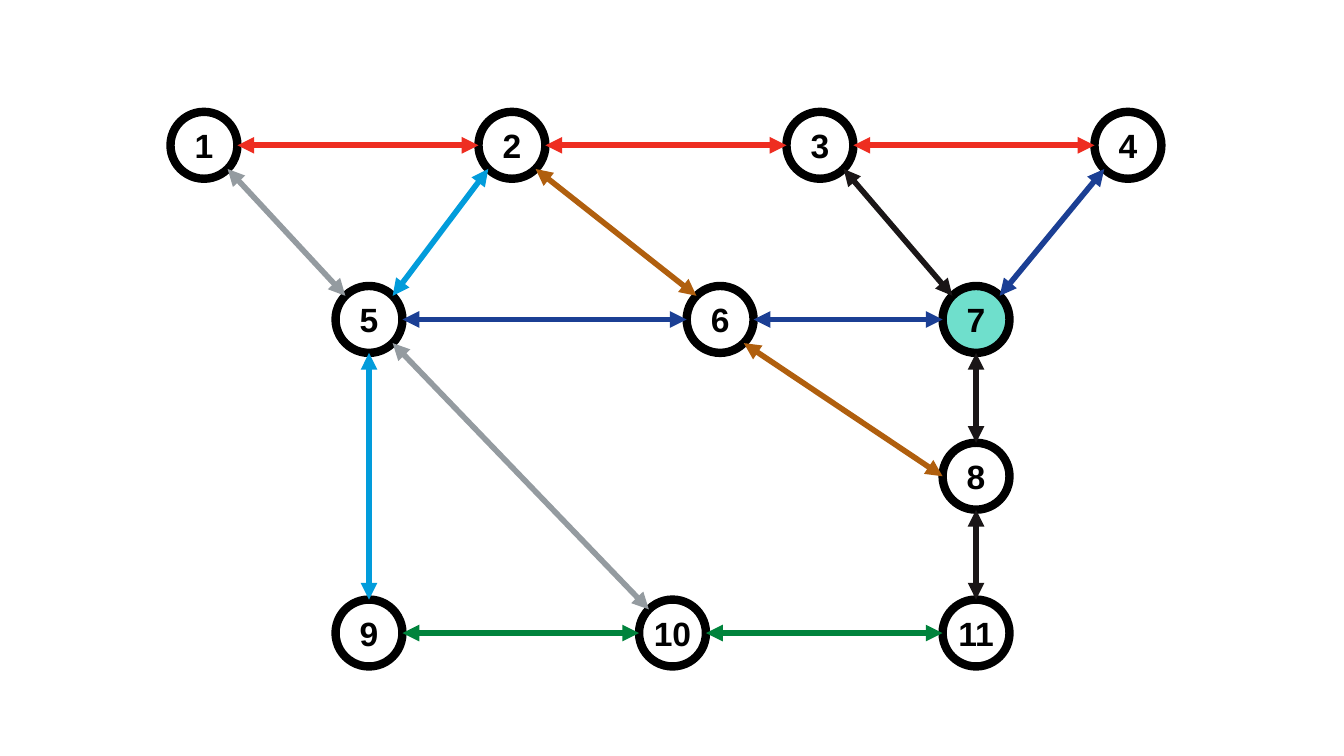
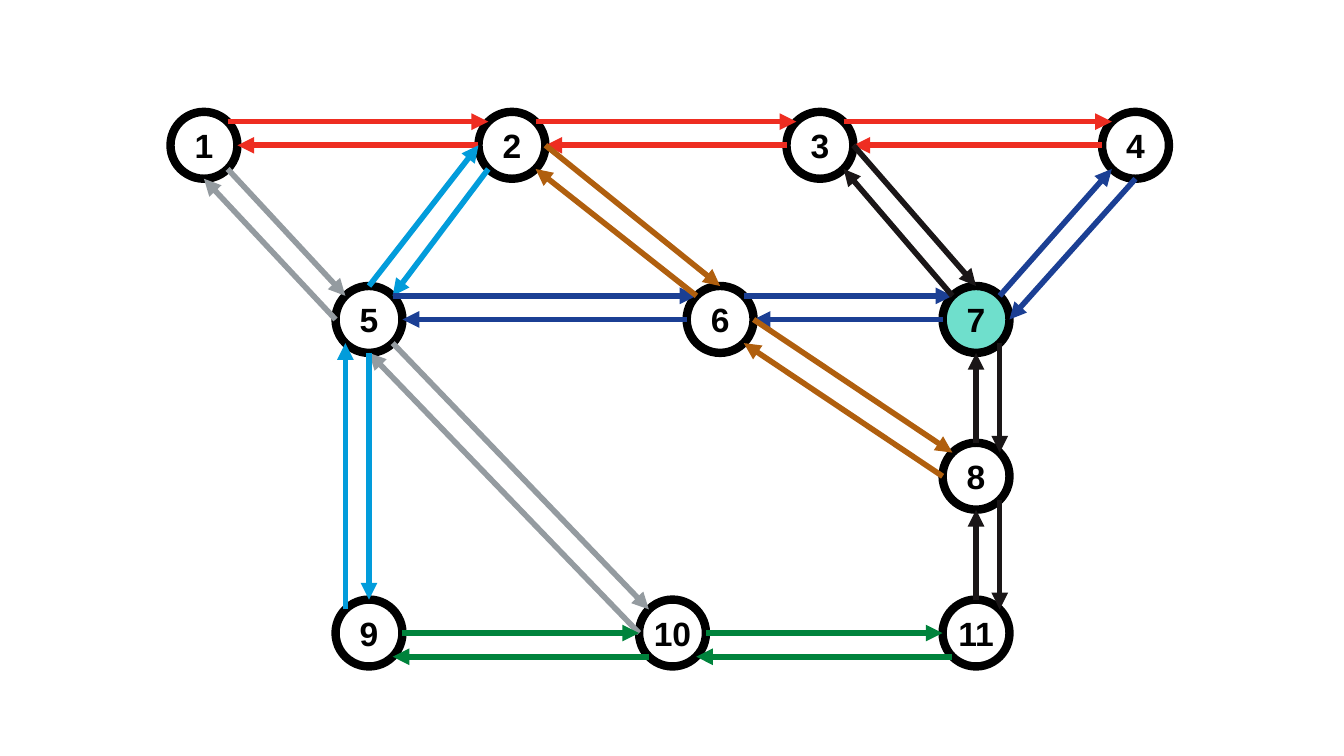
from math import sqrt

from lxml.etree import SubElement
from pptx import Presentation
from pptx.dml.color import RGBColor
from pptx.enum.shapes import MSO_CONNECTOR, MSO_SHAPE
from pptx.enum.text import MSO_ANCHOR, PP_ALIGN
from pptx.oxml.ns import qn
from pptx.util import Pt

OVAL = MSO_SHAPE.OVAL
STRAIGHT = MSO_CONNECTOR.STRAIGHT
MIDDLE = MSO_ANCHOR.MIDDLE
CENTER = PP_ALIGN.CENTER

WHITE = RGBColor(0xFF, 0xFF, 0xFF)
INK = RGBColor(0x00, 0x00, 0x00)
MINT = RGBColor(0x6F, 0xDF, 0xCC)
RED = RGBColor(0xEE, 0x2D, 0x21)
GREY = RGBColor(0x94, 0x9B, 0xA0)
SKY = RGBColor(0x02, 0x9C, 0xDB)
BLUE = RGBColor(0x1B, 0x3F, 0x94)
GREEN = RGBColor(0x00, 0x83, 0x3C)
BLACK = RGBColor(0x1A, 0x16, 0x17)
BROWN = RGBColor(0xB0, 0x5F, 0x0E)

SIZE = 47.8
HALF = SIZE / 2
DIAG = HALF / sqrt(2)
TOP, GAP = 103.8, 220
UPPER, LOWER, BASE = 228.2, 340.2, 452.2
LEFT, RIGHT = 263.6, 697.2

PORTS = {
    "N": (0, 0, -HALF), "NW": (1, -DIAG, -DIAG),
    "W": (2, -HALF, 0), "SW": (3, -DIAG, DIAG),
    "S": (4, 0, HALF), "SE": (5, DIAG, DIAG),
    "E": (6, HALF, 0), "NE": (7, DIAG, -DIAG),
}

SPOTS = {str(i + 1): (145.7 + i * GAP, TOP) for i in range(4)}
SPOTS.update({
    "5": (LEFT, UPPER), "6": (514.4, UPPER), "7": (RIGHT, UPPER),
    "8": (RIGHT, LOWER),
    "9": (LEFT, BASE), "10": ((LEFT + RIGHT) / 2, BASE), "11": (RIGHT, BASE),
})
SHIFTED = {**SPOTS, "4": (811.1, TOP)}

TWO_WAY = [
    (RED, "1:E-2:W 2:E-3:W 3:E-4:W"),
    (GREY, "5:NW-1:SE 5:SE-10:NW"),
    (SKY, "5:NE-2:SW 9:N-5:S"),
    (BLUE, "5:E-6:W 6:E-7:W 7:NE-4:SW"),
    (GREEN, "9:E-10:W 10:E-11:W"),
    (BLACK, "11:N-8:S 8:N-7:S 7:NW-3:SE"),
    (BROWN, "6:SE-8:W 2:SE-6:NW"),
]

ONE_WAY = [
    (RED, "1:NE-2:NW 2:NE-3:NW 3:NE-4:NW 4:W-3:E 3:W-2:E 2:W-1:E"),
    (GREY, "1:SE-5:NW 5:SE-10:NW 10:W-5:S 5:W-1:S"),
    (SKY, "2:SW-5:NE 5:S-9:N 9:NW-5:SW 5:N-2:W"),
    (BLUE, "5:NE-6:NW 6:NE-7:NW 7:NE-4:SW 4:S-7:E 7:W-6:E 6:W-5:E"),
    (GREEN, "9:E-10:W 10:E-11:W 11:SW-10:SE 10:SW-9:SE"),
    (BLACK, "11:N-8:S 8:N-7:S 7:NW-3:SE 3:E-7:N 7:SE-8:NE 8:SE-11:NE"),
    (BROWN, "8:W-6:SE 6:NW-2:SE 2:E-6:N 6:E-8:NW"),
]


def add_node(slide, name, spot):
    x, y = spot
    node = slide.shapes.add_shape(
        OVAL, Pt(x - HALF), Pt(y - HALF), Pt(SIZE), Pt(SIZE))
    node.shadow.inherit = False
    node.fill.solid()
    node.fill.fore_color.rgb = MINT if name == "7" else WHITE
    node.line.color.rgb = INK
    node.line.width = Pt(6)
    frame = node.text_frame
    frame.word_wrap = False
    frame.vertical_anchor = MIDDLE
    para = frame.paragraphs[0]
    para.text = name
    para.alignment = CENTER
    para.font.name = "Arial"
    para.font.size = Pt(24)
    para.font.bold = True
    para.font.color.rgb = INK
    return node


def add_link(slide, nodes, spots, link, color, both):
    ends = [end.split(":") for end in link.split("-")]
    points = []
    for name, port in ends:
        x, y = spots[name]
        _, dx, dy = PORTS[port]
        points += [Pt(x + dx), Pt(y + dy)]
    line = slide.shapes.add_connector(STRAIGHT, *points)
    line.line.color.rgb = color
    line.line.width = Pt(4)
    props = line.element.spPr
    stroke = props.find(qn("a:ln"))
    for tag in ("a:headEnd", "a:tailEnd") if both else ("a:tailEnd",):
        SubElement(stroke, qn(tag), type="triangle")
    SubElement(props, qn("a:effectLst"))
    glue = line.element.find(".//" + qn("p:cNvCxnSpPr"))
    for tag, (name, port) in zip(("a:stCxn", "a:endCxn"), ends):
        SubElement(glue, qn(tag), id=str(nodes[name].shape_id),
                   idx=str(PORTS[port][0]))


def add_graph(deck, spots, routes, both):
    slide = deck.slides.add_slide(deck.slide_layouts[6])
    nodes = {name: add_node(slide, name, spot)
             for name, spot in spots.items()}
    for color, links in routes:
        for link in links.split():
            add_link(slide, nodes, spots, link, color, both)


def main():
    deck = Presentation()
    deck.slide_width = Pt(960)
    deck.slide_height = Pt(540)
    add_graph(deck, SPOTS, TWO_WAY, True)
    add_graph(deck, SHIFTED, ONE_WAY, False)
    deck.save("out.pptx")


main()
